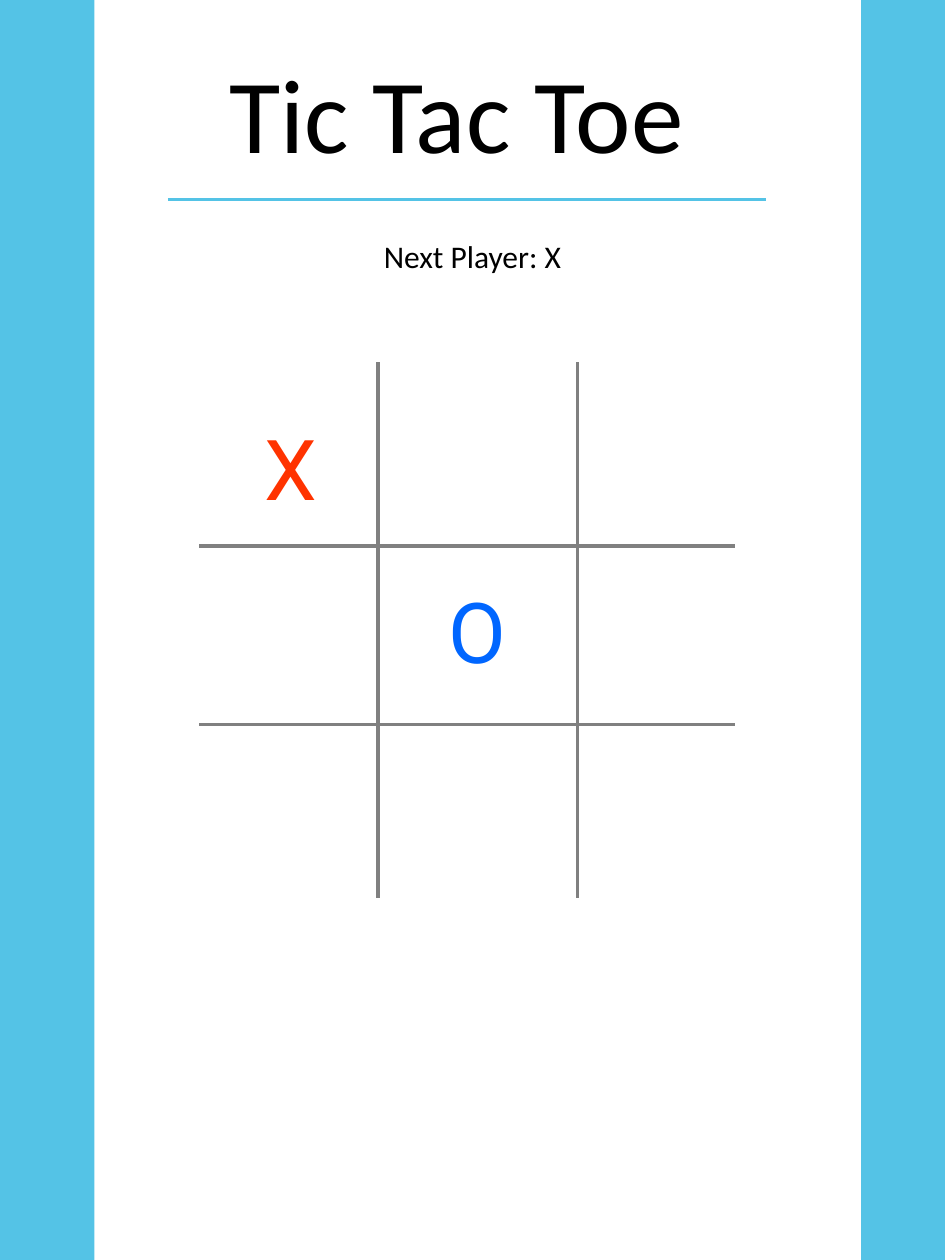
from lxml import etree
from pptx import Presentation
from pptx.dml.color import RGBColor
from pptx.enum.shapes import MSO_CONNECTOR, MSO_SHAPE
from pptx.enum.text import MSO_AUTO_SIZE, PP_ALIGN
from pptx.oxml.ns import qn
from pptx.util import Pt

PX = 7620
WIDTH, HEIGHT = 900, 1200
STRAIGHT = MSO_CONNECTOR.STRAIGHT
RECTANGLE = MSO_SHAPE.RECTANGLE
GROW = MSO_AUTO_SIZE.SHAPE_TO_FIT_TEXT
LEFT, CENTER = PP_ALIGN.LEFT, PP_ALIGN.CENTER
COLORS = {
    "sky": "54C3E6",
    "white": "FFFFFF",
    "black": "000000",
    "gray": "808080",
    "red": "FF3300",
    "blue": "0066FF",
}


def color(name):
    return RGBColor.from_string(COLORS[name])


def write(box, text, *, size, ink="black", font="Calibri", align=CENTER):
    frame = box.text_frame
    frame.word_wrap = True
    frame.auto_size = GROW
    para = frame.paragraphs[0]
    para.alignment = align
    span = para.add_run()
    span.text = text
    span.font.size = Pt(size)
    span.font.name = font
    span.font.color.rgb = color(ink)


class Page:
    def __init__(self, deck, background):
        self.slide = deck.slides.add_slide(deck.slide_layouts[6])
        fill = self.slide.background.fill
        fill.solid()
        fill.fore_color.rgb = color(background)

    def panel(self, *area, fill):
        shape = self.slide.shapes.add_shape(RECTANGLE, *(n * PX for n in area))
        shape.shadow.inherit = False
        shape.fill.solid()
        shape.fill.fore_color.rgb = color(fill)
        shape.line.fill.background()

    def text(self, *area, text, **style):
        box = self.slide.shapes.add_textbox(*(n * PX for n in area))
        write(box, text, **style)

    def line(self, *ends, ink, weight, group=None):
        shapes = (group or self.slide).shapes
        line = shapes.add_connector(STRAIGHT, *(n * PX for n in ends))
        line.line.color.rgb = color(ink)
        line.line.width = Pt(weight)
        etree.SubElement(line._element.spPr, qn("a:effectLst"))

    def grid(self, left, top, right, bottom, columns, rows):
        group = self.slide.shapes.add_group_shape()
        ends = [(x, top, x, bottom) for x in columns]
        ends += [(right, y, left, y) for y in rows]
        for end in ends:
            self.line(*end, ink="gray", weight=2.25, group=group)

    def mark(self, left, top, letter, ink):
        self.text(left, top, 70, 109, text=letter, size=48, ink=ink,
                  font="Roboto", align=LEFT)


def main():
    deck = Presentation()
    deck.slide_width, deck.slide_height = WIDTH * PX, HEIGHT * PX
    page = Page(deck, "sky")
    page.panel(90, 0, 730, HEIGHT, fill="white")
    page.text(120, 40, 630, 133, text="Tic Tac Toe", size=60)
    page.line(160, 190, 730, 190, ink="sky", weight=1.5)
    page.text(180, 220, 540, 48, text="Next Player: X", size=18)
    page.grid(190, 345, 700, 855, columns=(360, 550), rows=(520, 690))
    page.mark(240, 391, "X", "red")
    page.mark(415, 546, "O", "blue")
    deck.save("out.pptx")


if __name__ == "__main__":
    main()
